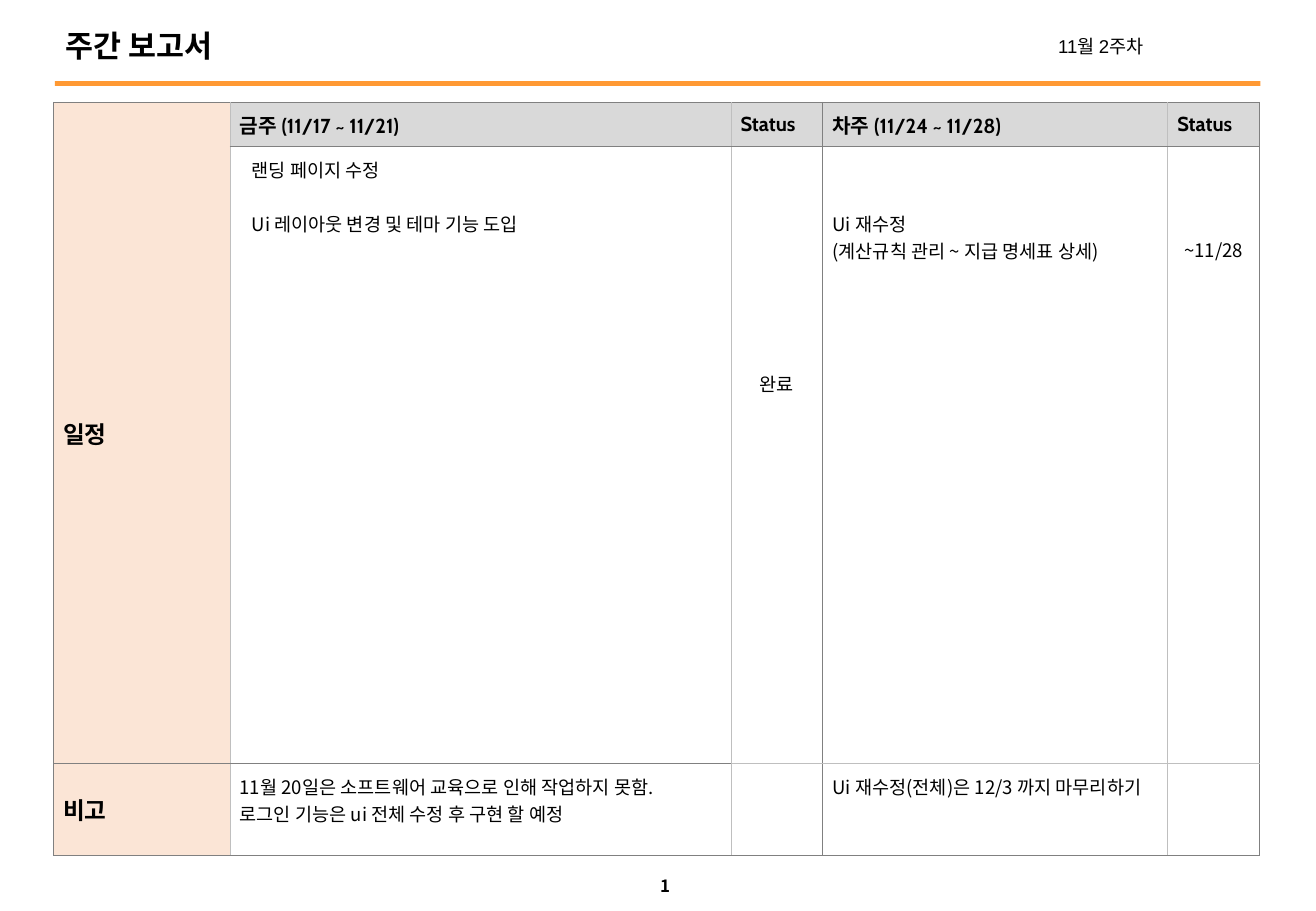
from dataclasses import dataclass

from lxml.etree import SubElement
from pptx import Presentation
from pptx.dml.color import RGBColor
from pptx.enum.shapes import MSO_SHAPE as Shape
from pptx.enum.text import MSO_ANCHOR as Anchor, PP_ALIGN as Align
from pptx.oxml.ns import qn
from pptx.util import Cm, Pt


@dataclass(frozen=True)
class Theme:
    """Colours, fonts and type sizes of the report."""
    ink: str = "000000"
    paper: str = "FFFFFF"
    accent: str = "FF9933"
    label_fill: str = "FBE5D6"
    head_fill: str = "D9D9D9"
    dark_line: str = "808080"
    light_line: str = "BFBFBF"
    line_width: float = 0.5
    korean: str = "Noto Sans CJK KR"
    heading: str = "Cabin"
    plain: str = "Arial"
    title_size: int = 18
    label_size: int = 14
    head_size: int = 12
    body_size: int = 11
    page_size: int = 10


THEME = Theme()
COLUMNS = (3.69, 10.47, 1.92, 7.21, 1.92)
ROWS = (0.92, 12.9, 1.92)
INSET = 0.2
LINE = 0.56
DARK_COLUMN_EDGES = (0, 3, 5)
LABELS = {(0, 0): "일정", (2, 0): "비고"}
HEADS = ("금주 (11/17 ~ 11/21)", "Status", "차주 (11/24 ~ 11/28)", "Status")


@dataclass(frozen=True)
class Entry:
    """Text of a body cell, with the blank lines above it."""
    lines: tuple
    skip: int = 0
    indent: float = 0
    gap: int = 0
    align: Align = Align.LEFT


ENTRIES = {
    (1, 1): Entry(("랜딩 페이지 수정", "Ui 레이아웃 변경 및 테마 기능 도입"), indent=0.25, gap=16),
    (1, 2): Entry(("완료",), skip=8, align=Align.CENTER),
    (1, 3): Entry(("Ui 재수정", "(계산규칙 관리 ~ 지급 명세표 상세)"), skip=2),
    (1, 4): Entry(("~11/28",), skip=3, align=Align.CENTER),
    (2, 1): Entry(("11월 20일은 소프트웨어 교육으로 인해 작업하지 못함.\n"
                   "로그인 기능은 ui 전체 수정 후 구현 할 예정",)),
    (2, 3): Entry(("Ui 재수정(전체)은 12/3 까지 마무리하기",)),
}


def style(para, size, font, bold=False):
    """Set the type of a paragraph, with Korean glyphs in the Korean font."""
    para.font.size = Pt(size)
    para.font.bold = bold
    para.font.color.rgb = RGBColor.from_string(THEME.ink)
    para.font.name = font
    defaults = para._p.pPr.find(qn("a:defRPr"))
    SubElement(defaults, qn("a:ea"), typeface=THEME.korean)


def add_text_box(page, left, top, width, height):
    """Add an empty text box and return its frame."""
    return page.shapes.add_textbox(Cm(left), Cm(top), Cm(width), Cm(height)).text_frame


def add_header(page, left, top, width):
    """Place the title, the week and the accent bar."""
    title = add_text_box(page, left, top, 16.26, 1.35)
    title.word_wrap = True
    title.vertical_anchor = Anchor.MIDDLE
    title.paragraphs[0].text = "주간 보고서"
    style(title.paragraphs[0], THEME.title_size, THEME.korean, True)

    week = add_text_box(page, left + 20.9, top + 0.33, 5.49, 0.74)
    week.word_wrap = True
    week.margin_left = week.margin_right = Cm(0.1)
    week.paragraphs[0].text = "11월 2주차"
    style(week.paragraphs[0], THEME.body_size, THEME.plain)

    bar = page.shapes.add_shape(
        Shape.RECTANGLE, Cm(left + 0.03), Cm(top + 1.42), Cm(width), Cm(0.1))
    bar.shadow.inherit = False
    bar.fill.solid()
    bar.fill.fore_color.rgb = RGBColor.from_string(THEME.accent)
    bar.line.fill.background()


def set_borders(cell, row, column):
    """Draw outer and group edges dark and inner edges light."""
    def row_edge_dark(edge):
        return edge != 2 or column < 2

    edges = {
        "a:lnL": column in DARK_COLUMN_EDGES,
        "a:lnR": column + 1 in DARK_COLUMN_EDGES,
        "a:lnT": row_edge_dark(row),
        "a:lnB": row_edge_dark(row + 1),
    }
    properties = cell._tc.get_or_add_tcPr()
    for tag, dark in edges.items():
        line = SubElement(properties, qn(tag), w=str(Pt(THEME.line_width)))
        fill = SubElement(line, qn("a:solidFill"))
        SubElement(fill, qn("a:srgbClr"), val=THEME.dark_line if dark else THEME.light_line)


def set_cell(cell, row, column):
    """Give a cell its borders and fill."""
    set_borders(cell, row, column)
    color = THEME.label_fill if column == 0 else THEME.head_fill if row == 0 else THEME.paper
    cell.fill.solid()
    cell.fill.fore_color.rgb = RGBColor.from_string(color)
    cell.margin_left = cell.margin_right = Cm(INSET)
    cell.margin_top = cell.margin_bottom = Cm(INSET / 2 if row == 0 else INSET)


def write_heading(cell, text, size):
    """Write a bold heading in the middle of a cell."""
    cell.vertical_anchor = Anchor.MIDDLE
    para = cell.text_frame.paragraphs[0]
    para.text = text
    style(para, size, THEME.heading, True)


def write_entry(cell, entry):
    """Write the paragraphs of a body cell."""
    cell.margin_top = Cm(INSET + entry.skip * LINE)
    cell.margin_left = Cm(INSET + entry.indent)
    frame = cell.text_frame
    for index, text in enumerate(entry.lines):
        para = frame.add_paragraph() if index else frame.paragraphs[0]
        para.text = text
        para.alignment = entry.align
        if index and entry.gap:
            para.space_before = Pt(entry.gap)
        style(para, THEME.body_size, THEME.korean)


def add_schedule(page, left, top):
    """Place the table of this week, next week and remarks."""
    table = page.shapes.add_table(
        len(ROWS), len(COLUMNS), Cm(left), Cm(top), Cm(sum(COLUMNS)), Cm(sum(ROWS))).table
    table.first_row = table.horz_banding = False
    for column, width in zip(table.columns, COLUMNS):
        column.width = Cm(width)
    for row, height in zip(table.rows, ROWS):
        row.height = Cm(height)
    for row in range(len(ROWS)):
        for column in range(len(COLUMNS)):
            set_cell(table.cell(row, column), row, column)
    table.cell(0, 0).merge(table.cell(1, 0))
    for place, text in LABELS.items():
        write_heading(table.cell(*place), text, THEME.label_size)
    for column, text in enumerate(HEADS, 1):
        write_heading(table.cell(0, column), text, THEME.head_size)
    for place, entry in ENTRIES.items():
        write_entry(table.cell(*place), entry)


def add_page_number(page, left, top):
    """Place the page number field."""
    frame = add_text_box(page, left, top, 1, 0.69)
    frame.word_wrap = False
    para = frame.paragraphs[0]
    para.alignment = Align.RIGHT
    style(para, THEME.page_size, THEME.korean, True)
    field = SubElement(para._p, qn("a:fld"), type="slidenum",
                       id="{B6F15528-21DE-4FAA-801E-634DDDAF4B2B}")
    SubElement(field, qn("a:rPr"), lang="ko-KR")
    SubElement(field, qn("a:t")).text = "1"


def main():
    """Build the weekly report."""
    deck = Presentation()
    deck.slide_width, deck.slide_height = Cm(27.51), Cm(19.05)
    page = deck.slides.add_slide(deck.slide_layouts[6])
    add_header(page, 1.12, 0.28, 25.2)
    add_schedule(page, 1.12, 2.14)
    add_page_number(page, 13.26, 18.19)
    deck.save("out.pptx")


if __name__ == "__main__":
    main()
